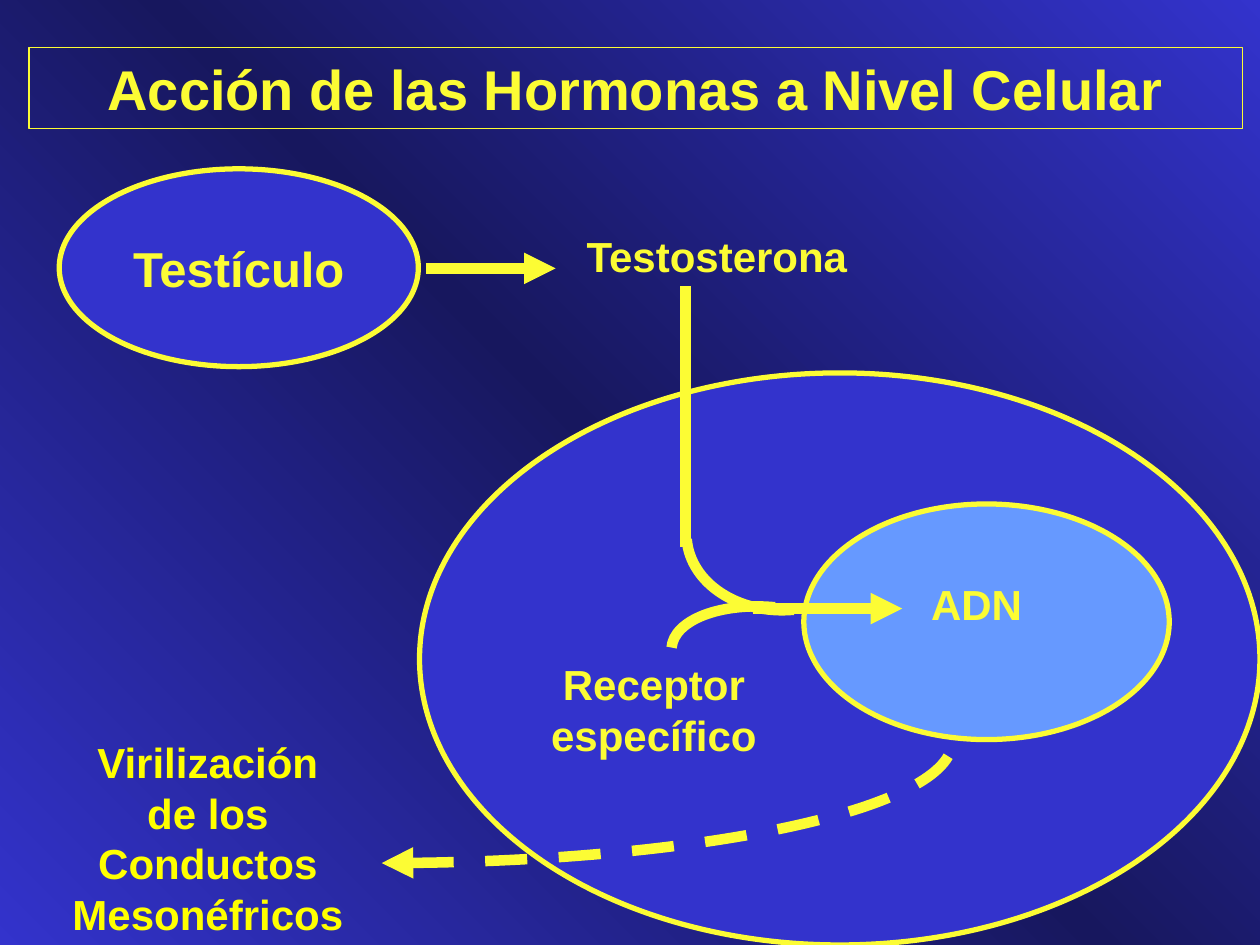
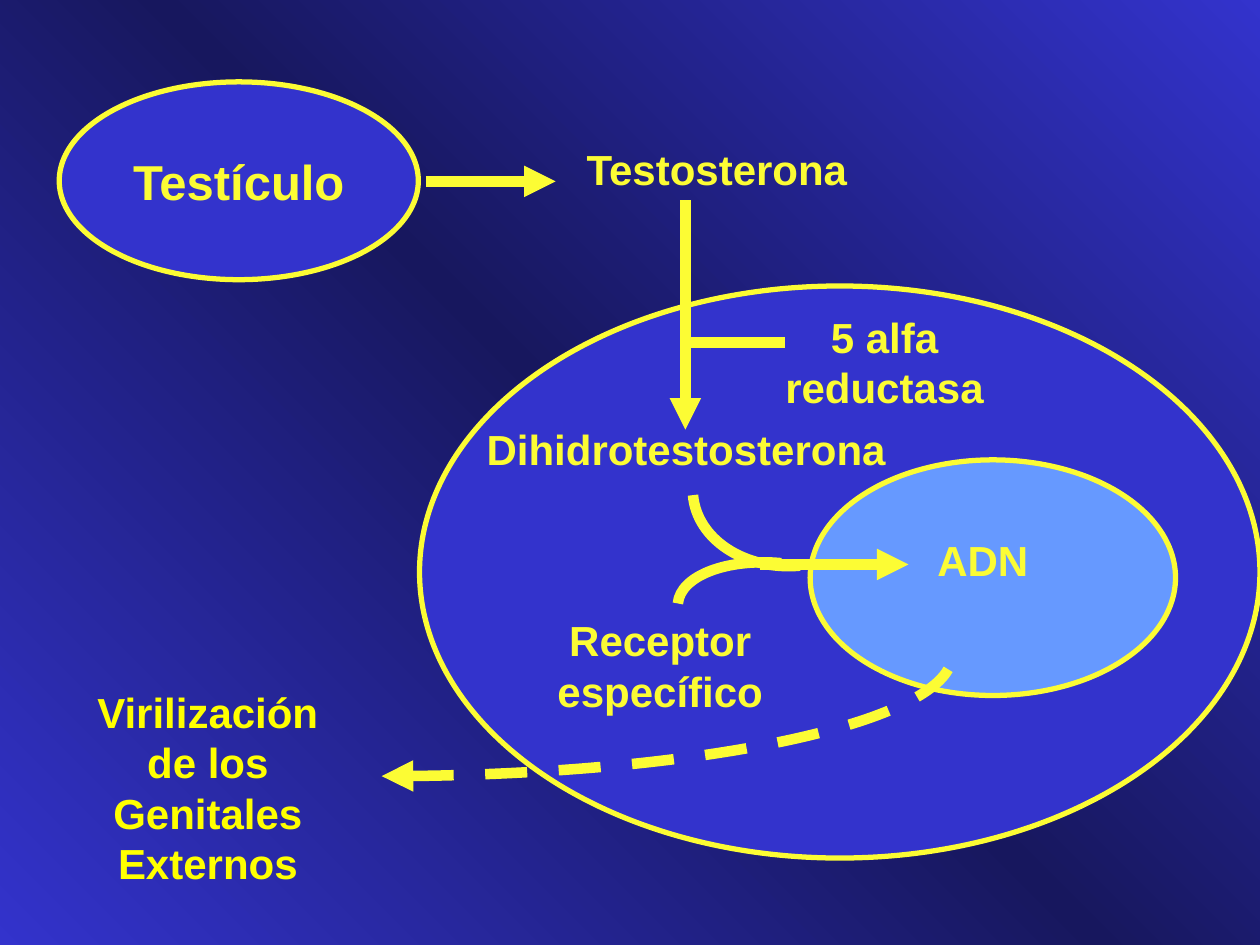
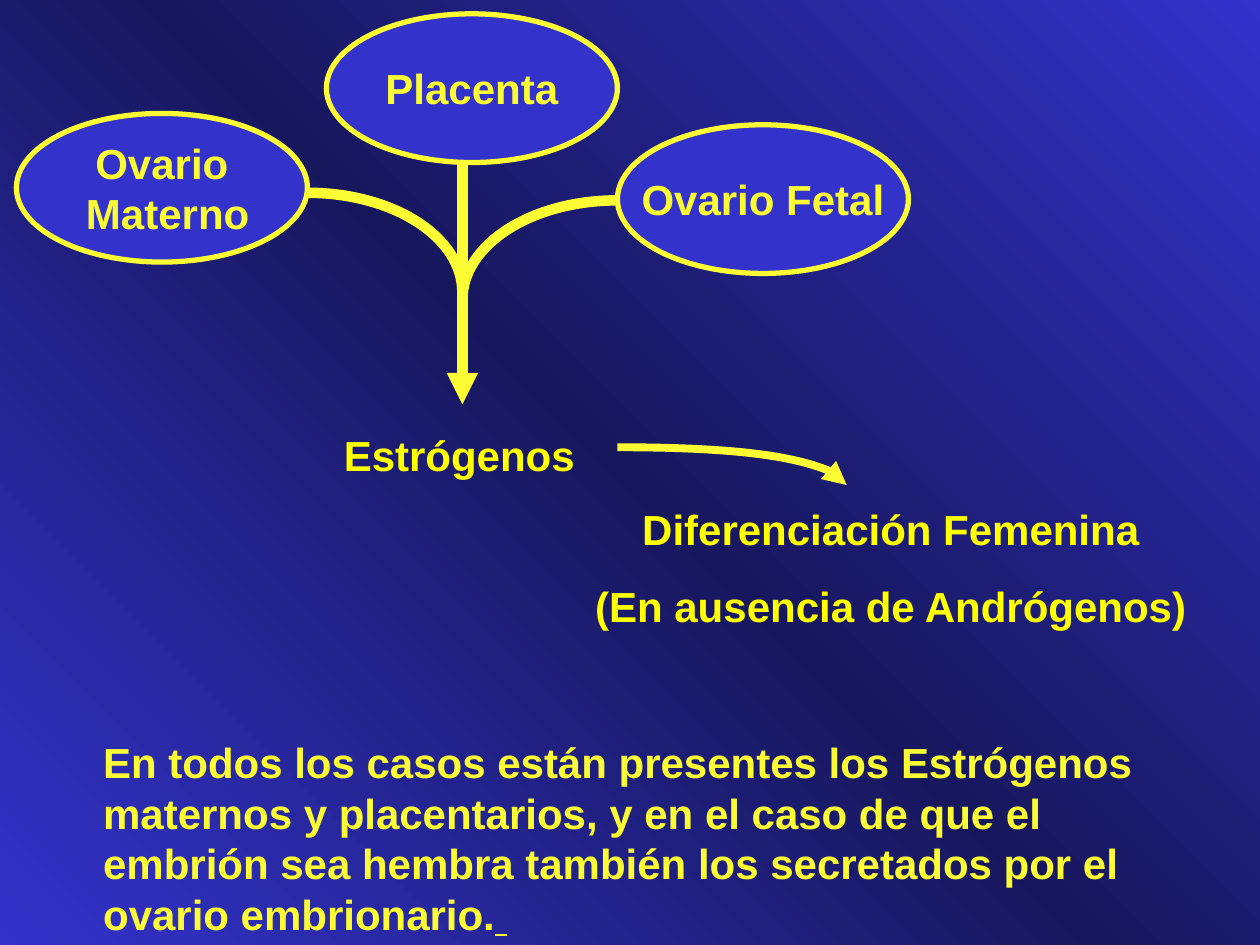
from copy import deepcopy
from dataclasses import dataclass

from lxml import etree
from pptx import Presentation
from pptx import util as u
from pptx.dml.color import RGBColor
from pptx.enum import dml, shapes, text
from pptx.oxml.ns import qn


@dataclass(frozen=True)
class Theme:
    font: str = "Arial"
    yellow: RGBColor = RGBColor(0xFC, 0xFC, 0x34)
    bright: RGBColor = RGBColor(0xFF, 0xFF, 0x00)
    blue: RGBColor = RGBColor(0x33, 0x33, 0xCC)
    navy: RGBColor = RGBColor(0x17, 0x17, 0x5E)
    nucleus: RGBColor = RGBColor(0x66, 0x99, 0xFF)
    title_size: int = 32
    organ_size: int = 28
    body_size: int = 24
    frame_width: float = 0.75
    outline_width: float = 3
    arrow_width: float = 6
    thin_arrow_width: float = 4.5
    paragraph_gap: int = 15


THEME = Theme()
CENTER = text.PP_ALIGN.CENTER


# Shared helpers
def inches(*lengths):
    return [u.Inches(length) for length in lengths]


def set_background(master):
    fill = master.background.fill
    fill.gradient()
    fill.gradient_angle = 225
    stop_list = master.element.find(".//" + qn("p:bg")).find(".//" + qn("a:gsLst"))
    stop_list.insert(1, deepcopy(stop_list[0]))
    colors = (THEME.blue, THEME.navy, THEME.blue)
    for stop, position, color in zip(fill.gradient_stops, (0, 0.5, 1), colors):
        stop.position = position
        stop.color.rgb = color


def style_run(run, size, color):
    font = run.font
    font.name, font.size, font.bold = THEME.font, u.Pt(size), True
    font.color.rgb = color


def write(text_frame, content, size, color, align=CENTER, gap=0):
    text_frame.text = content
    for index, paragraph in enumerate(text_frame.paragraphs):
        paragraph.alignment = align
        if index and gap:
            paragraph.space_before = u.Pt(gap)
        for run in paragraph.runs:
            style_run(run, size, color)


def style_line(line, width, color=THEME.yellow):
    line.color.rgb = color
    line.width = u.Pt(width)


def add_arrowhead(shape, end):
    outline = shape.line._get_or_add_ln()
    etree.SubElement(outline, qn(f"a:{end}End"), type="triangle")


# Kinds of element
def add_title(slide, content):
    shape = slide.shapes.add_shape(shapes.MSO_SHAPE.RECTANGLE, *inches(0.23, 0.38, 9.63, 0.64))
    shape.shadow.inherit = False
    shape.fill.background()
    style_line(shape.line, THEME.frame_width)
    shape.text_frame.vertical_anchor = text.MSO_ANCHOR.TOP
    write(shape.text_frame, content, THEME.title_size, THEME.yellow)


def add_ellipse(slide, box, content="", size=THEME.body_size, fill=THEME.blue):
    shape = slide.shapes.add_shape(shapes.MSO_SHAPE.OVAL, *inches(*box))
    shape.shadow.inherit = False
    shape.fill.solid()
    shape.fill.fore_color.rgb = fill
    style_line(shape.line, THEME.outline_width)
    if content:
        shape.text_frame.word_wrap = False
        shape.text_frame.vertical_anchor = text.MSO_ANCHOR.MIDDLE
        write(shape.text_frame, content, size, THEME.yellow)


def add_label(slide, box, content, color=THEME.yellow, align=CENTER):
    frame = slide.shapes.add_textbox(*inches(*box)).text_frame
    frame.word_wrap = True
    frame.auto_size = text.MSO_AUTO_SIZE.SHAPE_TO_FIT_TEXT
    write(frame, content, THEME.body_size, color, align, THEME.paragraph_gap)
    return frame


def add_line(slide, start, end, arrow=True):
    connector = slide.shapes.add_connector(
        shapes.MSO_CONNECTOR.STRAIGHT, *inches(*start, *end))
    style_line(connector.line, THEME.arrow_width)
    if arrow:
        add_arrowhead(connector, "tail")
    etree.SubElement(connector._element.spPr, qn("a:effectLst"))


def add_curve(slide, points, width=THEME.arrow_width, arrow=None, dashed=False):
    """Draw one cubic curve: start, two control points, end."""
    start, *others = [inches(*point) for point in points]
    builder = slide.shapes.build_freeform(*start)
    builder.add_line_segments(others, close=False)
    shape = builder.convert_to_shape()
    # Turn the three segments into a single Bézier curve
    outline = shape._element.find(".//" + qn("a:path"))
    segments = outline.findall(qn("a:lnTo"))
    bezier = etree.SubElement(outline, qn("a:cubicBezTo"))
    for segment in segments:
        bezier.append(segment[0])
        outline.remove(segment)
    shape.shadow.inherit = False
    shape.fill.background()
    style_line(shape.line, width)
    if dashed:
        shape.line.dash_style = dml.MSO_LINE.DASH
    if arrow:
        add_arrowhead(shape, arrow)


# Parts of the cell diagrams
def draw_testis_and_cell(slide, top):
    add_ellipse(slide, (0.47, top, 2.85, 1.57), "Testículo", THEME.organ_size)
    add_line(slide, (3.38, top + 0.79), (4.41, top + 0.79))
    add_label(slide, (4.51, top + 0.44, 2.36, 0.5), "Testosterona")
    add_ellipse(slide, (3.33, top + 1.62, 6.67, 4.54))


def draw_receptor_binding(slide, left, top):
    """Hormone and receptor join and reach the DNA; left and top place the nucleus."""
    def shifted(*points):
        return [(left + x, top + y) for x, y in points]

    add_curve(slide, shifted((-0.93, 0.28), (-0.9, 0.63), (-0.52, 0.88), (-0.08, 0.84)))
    add_curve(slide, shifted((-1.05, 1.14), (-1.03, 0.92), (-0.66, 0.78), (-0.23, 0.82)))
    add_label(slide, (left - 2.37, top + 1.18, 2.36, 0.9), "Receptor específico")
    add_ellipse(slide, (left, top, 2.9, 1.87), fill=THEME.nucleus)
    add_line(slide, *shifted((-0.4, 0.83), (0.78, 0.83)))
    add_label(slide, (left + 0.88, top + 0.54, 0.98, 0.5), "ADN")


def draw_effect(slide, content, label_top, arrow_top):
    add_label(slide, (0.47, label_top, 2.36, 1.7), content, THEME.bright)
    points = [(3.03, 0.97), (5.53, 0.97), (7.56, 0.53), (7.56, 0)]
    add_curve(slide, [(x, arrow_top + y) for x, y in points], arrow="head", dashed=True)


# Slides
def build_testosterone(slide):
    add_title(slide, "Acción de las Hormonas a Nivel Celular")
    draw_testis_and_cell(slide, 1.34)
    add_line(slide, (5.44, 2.27), (5.44, 4.34), arrow=False)
    draw_receptor_binding(slide, 6.38, 4)
    draw_effect(slide, "Virilización de los Conductos Mesonéfricos", 5.8, 5.88)


def build_dihydrotestosterone(slide):
    draw_testis_and_cell(slide, 0.65)
    add_label(slide, (3.72, 3.31, 3.45, 0.5), "Dihidrotestosterona")
    add_label(slide, (5.84, 2.42, 2.36, 0.9), "5 alfa reductasa")
    add_line(slide, (5.44, 1.59), (5.44, 3.41))
    add_line(slide, (6.23, 2.72), (5.44, 2.72), arrow=False)
    draw_receptor_binding(slide, 6.43, 3.65)
    draw_effect(slide, "Virilización de los Genitales Externos", 5.4, 5.19)


def build_estrogens(slide):
    # Sources of estrogens
    add_line(slide, (3.67, 1.31), (3.67, 3.21))
    sources = (("Ovario Fetal", 4.9, 0.99), ("Ovario\n Materno", 0.13, 0.9),
               ("Placenta", 2.59, 0.11))
    for name, left, top in sources:
        add_ellipse(slide, (left, top, 2.31, 1.18), name)
    for start, control, top in ((2.44, 3.12, 1.53), (4.9, 4.22, 1.59)):
        add_curve(slide, [(start, top), (control, top),
                          (3.67, top + 0.35), (3.67, top + 0.79)])

    # Effect
    add_label(slide, (1.8, 3.36, 3.69, 0.5), "Estrógenos", THEME.bright)
    add_curve(slide, [(4.9, 3.55), (5.91, 3.55), (6.72, 3.69), (6.72, 3.85)],
              THEME.thin_arrow_width, arrow="tail")
    add_label(slide, (4.14, 3.95, 5.86, 1.11),
              "Diferenciación Femenina\n(En ausencia de Andrógenos)", THEME.bright)

    # Closing remark
    remark = add_label(
        slide, (0.72, 5.8, 8.71, 1.7),
        "En todos los casos están presentes los Estrógenos maternos y placentarios, "
        "y en el caso de que el embrión sea hembra también los secretados por el "
        "ovario embrionario.", align=text.PP_ALIGN.LEFT)
    ending = remark.paragraphs[0].add_run()
    ending.text = " "
    style_run(ending, THEME.body_size, THEME.yellow)
    ending.font.underline = True


def main():
    presentation = Presentation()
    presentation.slide_width, presentation.slide_height = inches(10, 7.5)
    set_background(presentation.slide_master)
    blank = presentation.slide_layouts[6]
    for build in (build_testosterone, build_dihydrotestosterone, build_estrogens):
        build(presentation.slides.add_slide(blank))
    presentation.save("out.pptx")


if __name__ == "__main__":
    main()
